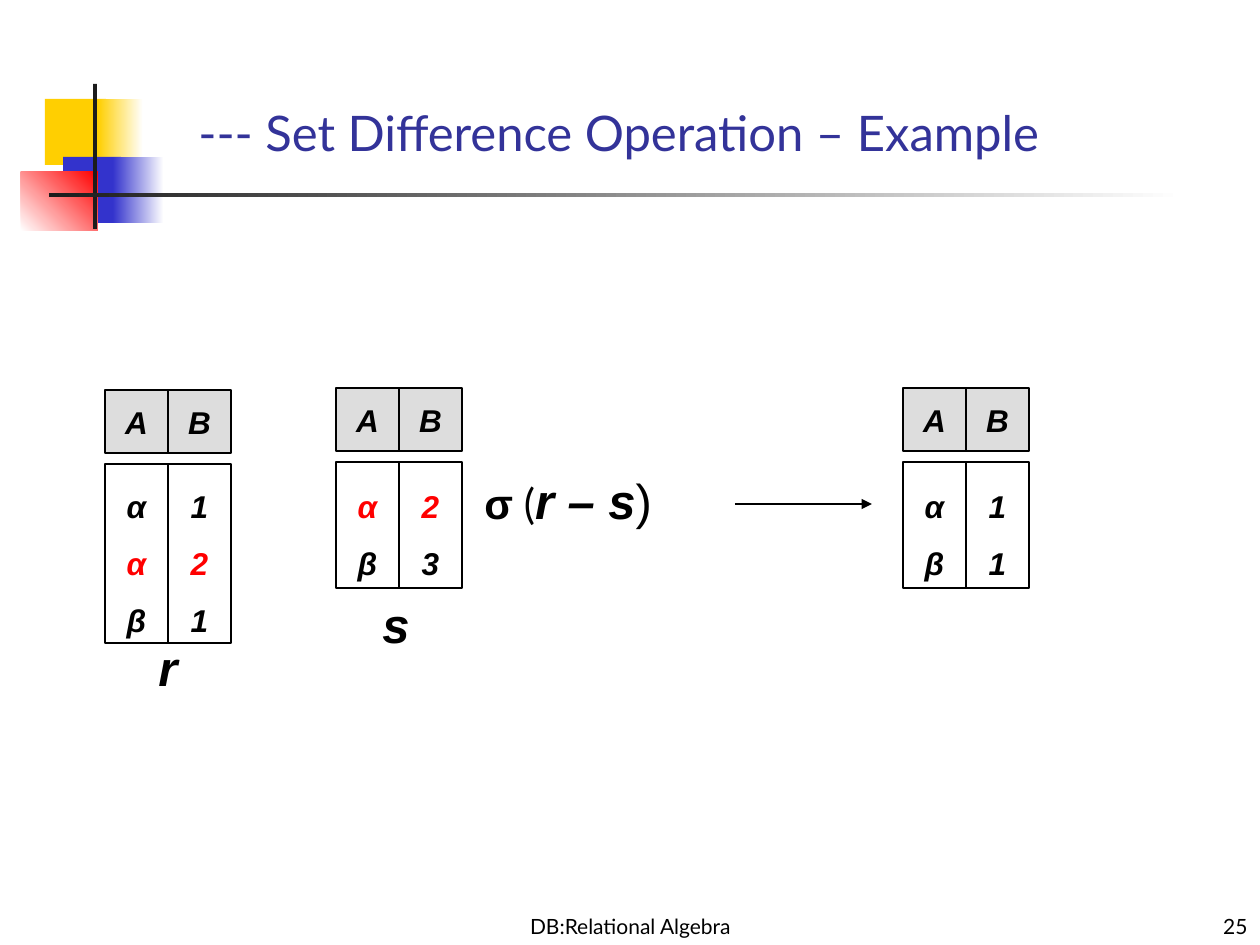
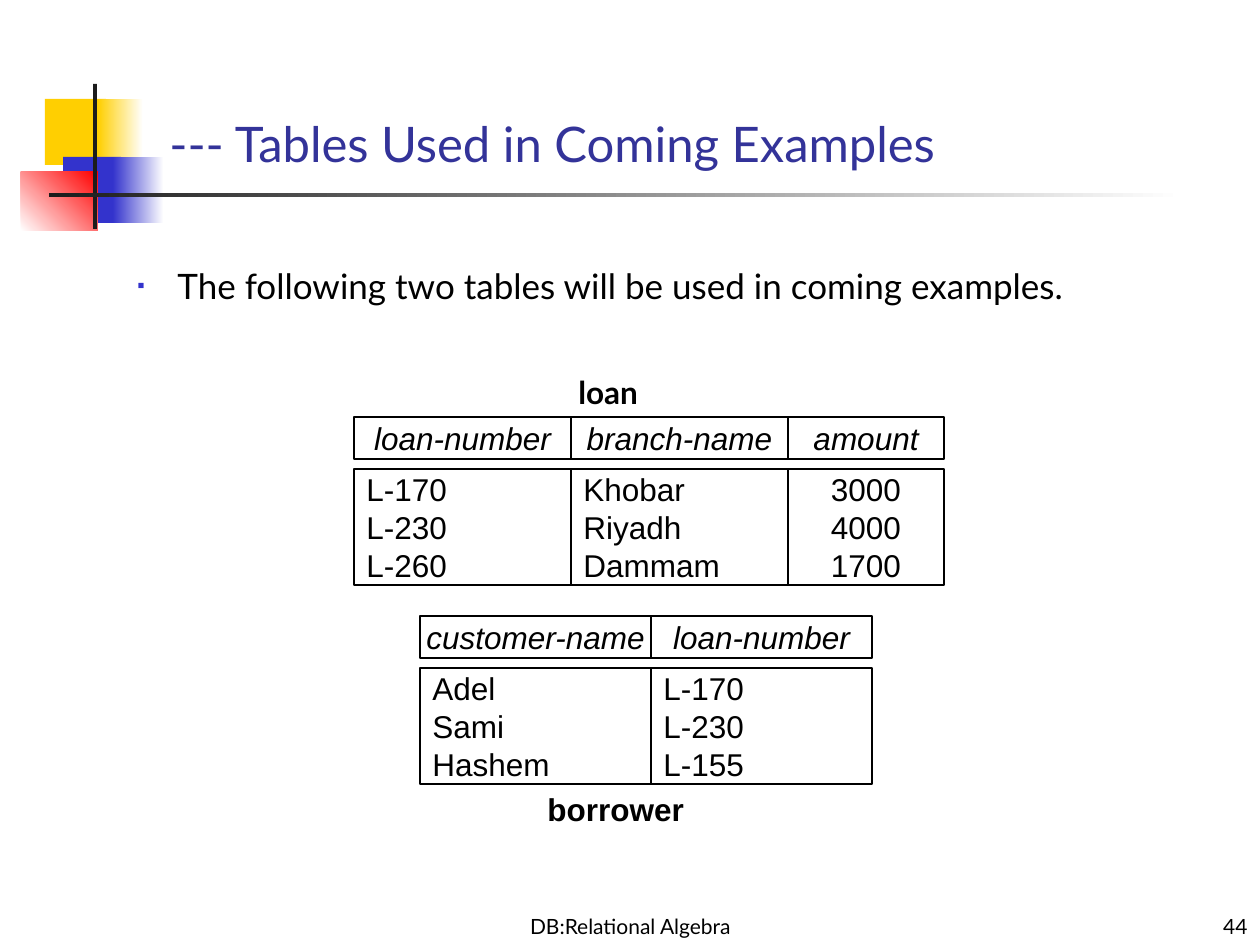
"""Build two relational algebra slides: a set difference and sample tables."""
from dataclasses import dataclass

from lxml import etree
from pptx import Presentation
from pptx.dml.color import RGBColor
from pptx.enum.shapes import MSO_CONNECTOR, MSO_SHAPE
from pptx.enum.text import MSO_ANCHOR, PP_ALIGN
from pptx.oxml.ns import qn
from pptx.util import Pt

RECT = MSO_SHAPE.RECTANGLE
LINE = MSO_CONNECTOR.STRAIGHT
LEFT, MID, RIGHT = PP_ALIGN.LEFT, PP_ALIGN.CENTER, PP_ALIGN.RIGHT
TOP, CENTRE, BASE = MSO_ANCHOR.TOP, MSO_ANCHOR.MIDDLE, MSO_ANCHOR.BOTTOM
SCALE = 914400 / 126


@dataclass(frozen=True)
class Theme:
    """Colours, fonts and type sizes of the deck."""
    ink: str = "000000"
    paper: str = "FFFFFF"
    title: str = "333399"
    gold: str = "FFCF01"
    blue: str = "3333CC"
    red: str = "FF0000"
    dark: str = "1C1C1C"
    head: str = "DDDDDD"
    sans: str = "Lato"
    plain: str = "Arial"
    big: int = 28
    sign: int = 24
    body: int = 20
    cell: int = 18
    foot: int = 12
    rule: float = 0.75


THEME = Theme()


@dataclass(frozen=True)
class Style:
    """Layout of one kind of data grid."""
    head: int
    gap: int
    fill: str
    bold: bool
    slant: bool
    space: float


GREEK = Style(63, 11, THEME.head, True, True, 1.5)
BANK = Style(42, 10, THEME.paper, False, False, 1.0)


def px(num):
    """Turn px into EMU."""
    return round(num * SCALE)


def rgb(code):
    """Turn a hex code into a colour."""
    return RGBColor.from_string(code)


def style(run, size, font, color=THEME.ink, bold=False, slant=False):
    """Format one run."""
    face = run.font
    face.size, face.name = Pt(size), font
    face.bold, face.italic = bold, slant
    face.color.rgb = rgb(color)


def write(shape, text, size, font, color=THEME.ink, bold=False, slant=False,
          align=LEFT, anchor=TOP, space=1.0):
    """Fill a shape with evenly formatted lines."""
    frame = shape.text_frame
    frame.text = text
    frame.word_wrap = align != MID
    frame.vertical_anchor = anchor
    for para in frame.paragraphs:
        para.alignment = align
        para.line_spacing = space
        for run in para.runs:
            style(run, size, font, color, bold, slant)
    return frame


def label(slide, box, text, size, font, **look):
    """Add a text box."""
    shape = slide.shapes.add_textbox(*map(px, box))
    return write(shape, text, size, font, **look)


def block(slide, box, color, fade=None, angle=0):
    """Add a rectangle with no outline, solid or fading."""
    shape = slide.shapes.add_shape(RECT, *map(px, box))
    shape.shadow.inherit = False
    shape.line.fill.background()
    if fade is None:
        shape.fill.solid()
        shape.fill.fore_color.rgb = rgb(color)
        return
    shape.fill.gradient()
    shape.fill.gradient_angle = angle
    for stop, code, spot in zip(shape.fill.gradient_stops, (color, fade), (0, 1)):
        stop.color.rgb = rgb(code)
        stop.position = spot


def cell(slide, box, fill, text, **look):
    """Add an outlined box of data."""
    shape = slide.shapes.add_shape(RECT, *map(px, box))
    shape.shadow.inherit = False
    shape.fill.solid()
    shape.fill.fore_color.rgb = rgb(fill)
    shape.line.color.rgb = rgb(THEME.ink)
    shape.line.width = Pt(THEME.rule)
    return write(shape, text, THEME.cell, THEME.plain, anchor=CENTRE, **look)


def grid(slide, left, top, cols, height, kind, hot=None):
    """Draw columns of (name, width, align, values), with one row in red."""
    low = top + kind.head + kind.gap
    for name, width, align, data in cols:
        cell(slide, (left, top, width, kind.head), kind.fill, name,
             bold=kind.bold, slant=True, align=MID)
        frame = cell(slide, (left, low, width, height), THEME.paper,
                     "\n".join(data), bold=kind.bold, slant=kind.slant,
                     align=align, space=kind.space)
        if hot is not None:
            frame.paragraphs[hot].runs[0].font.color.rgb = rgb(THEME.red)
        left += width


def pair(slide, left, top, first, second, hot=None):
    """Draw a relation with the columns A and B."""
    cols = [(name, 63, MID, data) for name, data in (("A", first), ("B", second))]
    grid(slide, left, top, cols, 20 + 53 * len(first), GREEK, hot)


def arrow(slide, start, end):
    """Add a thin line with an arrowhead at its end."""
    line = slide.shapes.add_connector(LINE, *map(px, start + end))
    line.line.color.rgb = rgb(THEME.ink)
    line.line.width = Pt(THEME.rule)
    props = line.line._get_or_add_ln()
    etree.SubElement(props, qn("a:tailEnd"), type="triangle")
    etree.SubElement(props.getparent(), qn("a:effectLst"))


def bullet(para, mark, indent):
    """Give a paragraph a hanging bullet."""
    props = para._p.get_or_add_pPr()
    props.set("marL", str(px(indent)))
    props.set("indent", str(-px(indent)))
    tint = etree.SubElement(props, qn("a:buClr"))
    etree.SubElement(tint, qn("a:srgbClr"), val=THEME.blue)
    etree.SubElement(props, qn("a:buSzPct"), val="60000")
    etree.SubElement(props, qn("a:buFont"), typeface=THEME.plain)
    etree.SubElement(props, qn("a:buChar"), char=mark)


def page(deck, title, left, top, num):
    """Add a slide with its motif, title and footer."""
    slide = deck.slides.add_slide(deck.slide_layouts[6])
    block(slide, (45, 99, 61, 66), THEME.gold)
    block(slide, (98, 99, 45, 66), THEME.gold, THEME.paper)
    block(slide, (63, 157, 58, 66), THEME.blue)
    block(slide, (113, 157, 51, 66), THEME.blue, THEME.paper)
    block(slide, (21, 172, 77, 59), THEME.paper, THEME.red, 45)
    block(slide, (93, 84, 4, 145), THEME.dark)
    block(slide, (49, 193, 1134, 4), THEME.dark, THEME.paper)
    label(slide, (431, 892, 399, 53), "DB:Relational Algebra", THEME.foot,
          THEME.sans, align=MID, anchor=BASE)
    label(slide, (998, 892, 262, 53), str(num), THEME.foot, THEME.sans,
          align=RIGHT, anchor=BASE)
    label(slide, (left, top, 1074, 84), title, THEME.big, THEME.sans,
          color=THEME.title, anchor=BASE)
    return slide


def minus(slide):
    """Add the set difference formula."""
    box = slide.shapes.add_textbox(*map(px, (472, 464, 242, 73)))
    para = box.text_frame.paragraphs[0]
    parts = (("σ", THEME.sign, THEME.plain, True, False),
             (" (", THEME.sign, THEME.sans, False, False),
             ("r – s", THEME.big, THEME.plain, True, True),
             (")", THEME.big, THEME.plain, False, False))
    for text, size, font, bold, slant in parts:
        run = para.add_run()
        run.text = text
        style(run, size, font, bold=bold, slant=slant)


def differ(deck):
    """Build the set difference slide."""
    slide = page(deck, "--- Set Difference Operation – Example", 186, 84, 25)
    minus(slide)
    pair(slide, 105, 390, "ααβ", "121", 1)
    pair(slide, 336, 388, "αβ", "23", 0)
    pair(slide, 903, 388, "αβ", "11")
    for name, box in (("r", (146, 631, 44, 72)), ("s", (370, 588, 52, 72))):
        label(slide, box, name, THEME.big, THEME.plain, bold=True, slant=True,
              align=MID, anchor=CENTRE)
    arrow(slide, (735, 504), (872, 504))


def tables(deck):
    """Build the sample tables slide."""
    slide = page(deck, "--- Tables Used in Coming Examples", 157, 95, 44)
    frame = label(slide, (125, 258, 1023, 63),
                  "The following two tables will be used in coming examples.",
                  THEME.body, THEME.sans)
    bullet(frame.paragraphs[0], "▪", 40)
    label(slide, (566, 367, 112, 62), "loan", THEME.cell, THEME.sans, bold=True)
    label(slide, (535, 784, 208, 67), "borrower", THEME.cell, THEME.plain,
          bold=True)
    loan = [("loan-number", 217, LEFT, ("L-170", "L-230", "L-260")),
            ("branch-name", 217, LEFT, ("Khobar", "Riyadh", "Dammam")),
            ("amount", 156, MID, ("3000", "4000", "1700"))]
    owe = [("customer-name", 231, LEFT, ("Adel", "Sami", "Hashem")),
           ("loan-number", 221, LEFT, ("L-170", "L-230", "L-155"))]
    grid(slide, 354, 417, loan, 116, BANK)
    grid(slide, 420, 616, owe, 116, BANK)


def main():
    """Build and save the deck."""
    deck = Presentation()
    deck.slide_width, deck.slide_height = px(1260), px(945)
    differ(deck)
    tables(deck)
    deck.save("out.pptx")


if __name__ == "__main__":
    main()
